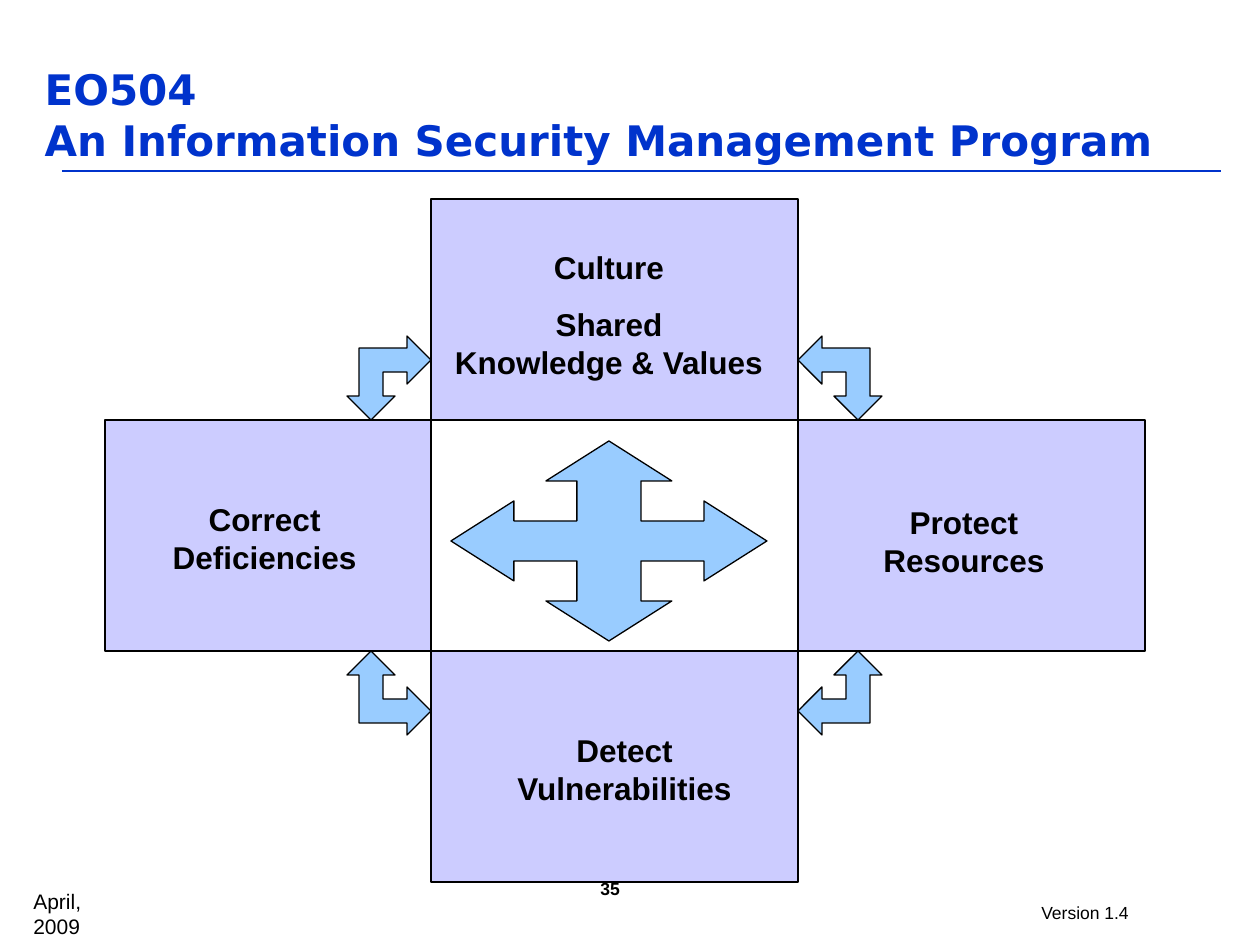
from lxml.etree import SubElement
from pptx import Presentation
from pptx.dml.color import RGBColor
from pptx.enum.shapes import MSO_CONNECTOR as CONN, MSO_SHAPE as SHAPE
from pptx.enum.text import MSO_ANCHOR as ANCHOR, MSO_AUTO_SIZE as AUTO, PP_ALIGN as ALIGN
from pptx.oxml.ns import qn
from pptx.util import Emu, Pt

PX = 914400 // 126
BLUE, BLACK, LILAC, SKY = "0033CC", "000000", "CCCCFF", "99CCFF"

TITLE = "EO504\vAn Information Security Management Program"
TITLE_BOX = (32, 6, 1134, 165)
RULE = (62, 171, 1221, 171)

# text, place, size
FOOT = [
    ("April, 2009", (21, 882, 125, 38), 12, False),
    ("Version 1.4", (1029, 896, 113, 34), 10, False),
    ("35", (588, 872, 73, 34), 10, True),
]

# The four panels stand around an open centre
X = (105, 431, 798, 1145)
Y = (199, 420, 651, 882)
# column, row, lines, text place, wrap
PANELS = [
    (1, 2, ["Detect", "Vulnerabilities"], (504, 725, 241, 88), False),
    (2, 1, ["Protect", "Resources"], (871, 497, 186, 88), False),
    (1, 0, ["Culture", "Shared", "Knowledge & Values"], (437, 242, 344, 145), False),
    (0, 1, ["Correct Deficiencies"], (136, 494, 257, 88), True),
]
GAPS = {"Shared": 11}  # points above a line

TURN = 84  # side of a corner arrow
# left, top, rotation
TURNS = [
    (X[2], Y[1] - TURN, 270),
    (X[2], Y[2], 0),
    (X[1] - TURN, Y[1] - TURN, 180),
    (X[1] - TURN, Y[2], 90),
]

MID = (609, 541)
# One quarter of the four-way arrow, from left tip to top tip
QUARTER = [(-158, 0), (-95, -40), (-95, -20), (-32, -20),
           (-32, -60), (-63, -60), (0, -100)]


def px(*vals):
    return [Emu(v * PX) for v in vals]


def rgb(code):
    return RGBColor.from_string(code)


def paint(shape, fill):
    shape.shadow.inherit = False
    shape.fill.solid()
    shape.fill.fore_color.rgb = rgb(fill)
    shape.line.color.rgb = rgb(BLACK)
    shape.line.width = Pt(0.75)


def style(para, size, color=BLACK, name="Arial", bold=True):
    font = para.font
    font.size, font.name, font.bold = Pt(size), name, bold
    font.color.rgb = rgb(color)


def write(slide, lines, place, size, align, bold=True, wrap=False):
    frame = slide.shapes.add_textbox(*px(*place)).text_frame
    frame.word_wrap = wrap
    for i, line in enumerate(lines):
        para = frame.add_paragraph() if i else frame.paragraphs[0]
        para.text = line
        para.alignment = align
        if line in GAPS:
            para.space_before = Pt(GAPS[line])
        style(para, size, bold=bold)


def add_title(slide):
    title = slide.shapes.title
    title.left, title.top, title.width, title.height = px(*TITLE_BOX)
    frame = title.text_frame
    frame.text = TITLE
    frame.word_wrap = True
    frame.auto_size = AUTO.NONE
    frame.vertical_anchor = ANCHOR.BOTTOM
    para = frame.paragraphs[0]
    para.alignment = ALIGN.LEFT
    style(para, 24, BLUE, "DejaVu Sans")

    rule = slide.shapes.add_connector(CONN.STRAIGHT, *px(*RULE))
    rule.line.color.rgb = rgb(BLUE)
    rule.line.width = Pt(0.75)
    SubElement(rule._element.spPr, qn("a:effectLst"))


def add_cross(slide):
    half = QUARTER + [(-x, y) for x, y in QUARTER[-2::-1]]
    ring = half + [(x, -y) for x, y in half[-2:0:-1]]
    dots = [px(MID[0] + x, MID[1] + y) for x, y in ring]
    path = slide.shapes.build_freeform(*dots[0])
    path.add_line_segments(dots[1:], close=True)
    paint(path.convert_to_shape(), SKY)


def main():
    deck = Presentation()
    deck.slide_width, deck.slide_height = px(1260, 945)
    slide = deck.slides.add_slide(deck.slide_layouts[5])
    add_title(slide)
    for text, place, size, bold in FOOT:
        write(slide, [text], place, size, ALIGN.LEFT, bold)

    for col, row, lines, place, wrap in PANELS:
        box = px(X[col], Y[row], X[col + 1] - X[col], Y[row + 1] - Y[row])
        paint(slide.shapes.add_shape(SHAPE.RECTANGLE, *box), LILAC)
        write(slide, lines, place, 18, ALIGN.CENTER, wrap=wrap)

    for left, top, angle in TURNS:
        turn = slide.shapes.add_shape(SHAPE.LEFT_UP_ARROW, *px(left, top, TURN, TURN))
        for i in range(3):
            turn.adjustments[i] = 2 / 7
        turn.rotation = angle
        paint(turn, SKY)
    add_cross(slide)
    deck.save("out.pptx")


if __name__ == "__main__":
    main()
